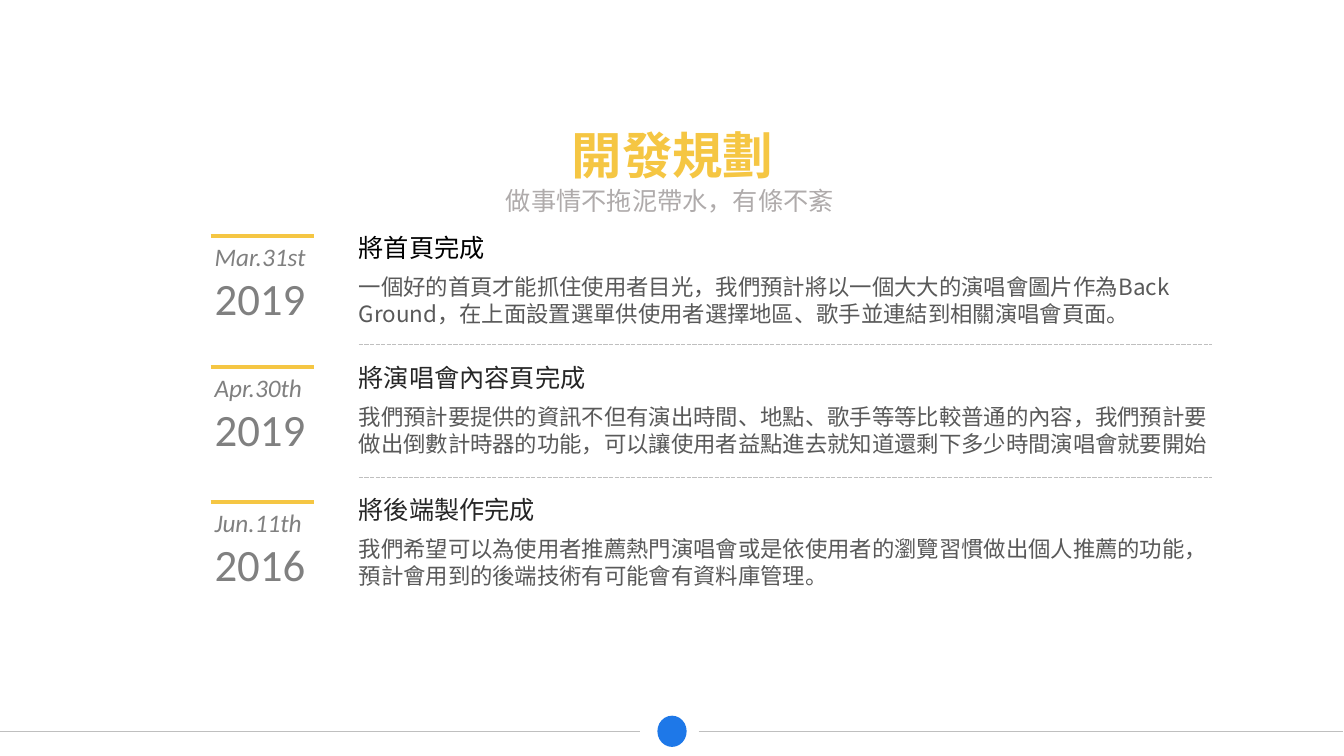
from dataclasses import dataclass

import pptx
import pptx.dml.color
import pptx.enum.dml
import pptx.enum.shapes
import pptx.enum.text
import pptx.oxml
import pptx.oxml.ns
import pptx.util

Inches = pptx.util.Inches
Alignment = pptx.enum.text.PP_ALIGN


@dataclass(frozen=True)
class Theme:
    # Colours
    accent: str = "F5C643"
    subtitle: str = "AFABAB"
    date: str = "808080"
    first_heading: str = "000000"
    heading: str = "262626"
    body: str = "595959"
    line: str = "BFBFBF"
    badge: str = "1E78E8"
    # Fonts
    title_font: str = "Noto Sans CJK TC"
    text_font: str = "Noto Sans CJK SC"
    date_font: str = "Calibri"
    # Type sizes and line widths in points
    title_size: int = 36
    year_size: int = 32
    heading_size: int = 18
    body_size: int = 16
    rule_width: float = 2.5
    line_width: float = 1


THEME = Theme()


@dataclass(frozen=True)
class Milestone:
    top: float
    rule_top: float
    date_width: float
    day: str
    year: str
    heading: str
    heading_color: str
    body: str


MILESTONES = [
    Milestone(2.26, 2.34, 1.15, "Mar.31st", "2019", "將首頁完成", THEME.first_heading,
              "一個好的首頁才能抓住使用者目光，我們預計將以一個大大的演唱會圖片作為Back Ground"
              "，在上面設置選單供使用者選擇地區、歌手並連結到相關演唱會頁面。"),
    Milestone(3.55, 3.64, 1.11, "Apr.30th", "2019", "將演唱會內容頁完成", THEME.heading,
              "我們預計要提供的資訊不但有演出時間、地點、歌手等等比較普通的內容，我們預計要"
              "做出倒數計時器的功能，可以讓使用者益點進去就知道還剩下多少時間演唱會就要開始"),
    Milestone(4.86, 4.98, 1.14, "Jun.11th", "2016", "將後端製作完成", THEME.heading,
              "我們希望可以為使用者推薦熱門演唱會或是依使用者的瀏覽習慣做出個人推薦的功能，"
              "預計會用到的後端技術有可能會有資料庫管理。"),
]


def rgb(color):
    return pptx.dml.color.RGBColor.from_string(color)


def format_paragraph(paragraph, size, color, font_name, bold=False, italic=False,
                     alignment=Alignment.LEFT):
    paragraph.alignment = alignment
    font = paragraph.font
    font.size = pptx.util.Pt(size)
    font.bold = bold
    font.italic = italic
    font.color.rgb = rgb(color)
    font.name = font_name
    # Chinese characters take their font from a:ea
    latin = paragraph._p.pPr.find(".//" + pptx.oxml.ns.qn("a:latin"))
    east_asian = pptx.oxml.parse_xml(
        f'<a:ea {pptx.oxml.ns.nsdecls("a")} typeface="{font_name}"/>')
    latin.addnext(east_asian)


def prepare_frame(shape, wrap=False):
    frame = shape.text_frame
    frame.word_wrap = wrap
    frame.auto_size = pptx.enum.text.MSO_AUTO_SIZE.SHAPE_TO_FIT_TEXT
    frame.vertical_anchor = pptx.enum.text.MSO_ANCHOR.TOP
    return frame


def add_text(slide, left, top, width, height, text, size, color, font_name, wrap=False):
    shape = slide.shapes.add_textbox(Inches(left), Inches(top), Inches(width), Inches(height))
    frame = prepare_frame(shape, wrap)
    frame.text = text
    format_paragraph(frame.paragraphs[0], size, color, font_name)
    return frame


def add_line(slide, left, right, top, color, width, dashed=False):
    connector = slide.shapes.add_connector(
        pptx.enum.shapes.MSO_CONNECTOR.STRAIGHT,
        Inches(left), Inches(top), Inches(right), Inches(top))
    connector.line.color.rgb = rgb(color)
    connector.line.width = pptx.util.Pt(width)
    if dashed:
        connector.line.dash_style = pptx.enum.dml.MSO_LINE.SQUARE_DOT
    connector._element.spPr.append(
        pptx.oxml.parse_xml(f'<a:effectLst {pptx.oxml.ns.nsdecls("a")}/>'))


def add_title(slide, text):
    title = slide.shapes.title
    title.left, title.top = Inches(5.56), Inches(0.88)
    title.width, title.height = Inches(2.22), Inches(0.9)
    frame = prepare_frame(title)
    frame.text = text
    paragraph = frame.paragraphs[0]
    format_paragraph(paragraph, THEME.title_size, THEME.accent, THEME.title_font,
                     bold=True, alignment=Alignment.CENTER)
    paragraph.line_spacing = 1.5


def add_milestone(slide, milestone):
    # Date under its accent rule
    add_line(slide, 2.09, 3.11, milestone.rule_top, THEME.accent, THEME.rule_width)
    date = add_text(slide, 2.03, milestone.rule_top, milestone.date_width, 0.94,
                    milestone.day, THEME.heading_size, THEME.date, THEME.date_font)
    format_year = date.add_paragraph()
    format_year.text = milestone.year
    format_paragraph(format_year, THEME.year_size, THEME.date, THEME.date_font)
    date.paragraphs[0].font.italic = True

    # Heading, as wide as its characters, and description
    heading_width = 0.25 * len(milestone.heading) + 0.21
    add_text(slide, 3.46, milestone.top, heading_width, 0.4, milestone.heading,
             THEME.heading_size, milestone.heading_color, THEME.text_font)
    add_text(slide, 3.46, milestone.top + 0.4, 8.67, 0.64, milestone.body,
             THEME.body_size, THEME.body, THEME.text_font, wrap=True)


def add_footer(slide):
    for left, right in ((0, 6.35), (6.93, 13.32)):
        add_line(slide, left, right, 7.26, THEME.line, THEME.line_width)
    badge = slide.shapes.add_shape(pptx.enum.shapes.MSO_SHAPE.OVAL,
                                   Inches(6.52), Inches(7.1), Inches(0.29), Inches(0.31))
    badge.shadow.inherit = False
    badge.fill.solid()
    badge.fill.fore_color.rgb = rgb(THEME.badge)
    badge.line.fill.background()


def main():
    presentation = pptx.Presentation()
    presentation.slide_width = Inches(13.33)
    presentation.slide_height = Inches(7.5)
    slide = presentation.slides.add_slide(presentation.slide_layouts[5])

    # Title and subtitle
    add_title(slide, "開發規劃")
    add_text(slide, 4.92, 1.79, 3.48, 0.4, "做事情不拖泥帶水，有條不紊",
             THEME.heading_size, THEME.subtitle, THEME.title_font)

    # Milestones with dashed separators between them
    for milestone in MILESTONES:
        add_milestone(slide, milestone)
    for separator_top in (3.42, 4.74):
        add_line(slide, 3.56, 12.02, separator_top, THEME.line, THEME.line_width, dashed=True)

    add_footer(slide)
    presentation.save("out.pptx")


if __name__ == "__main__":
    main()
